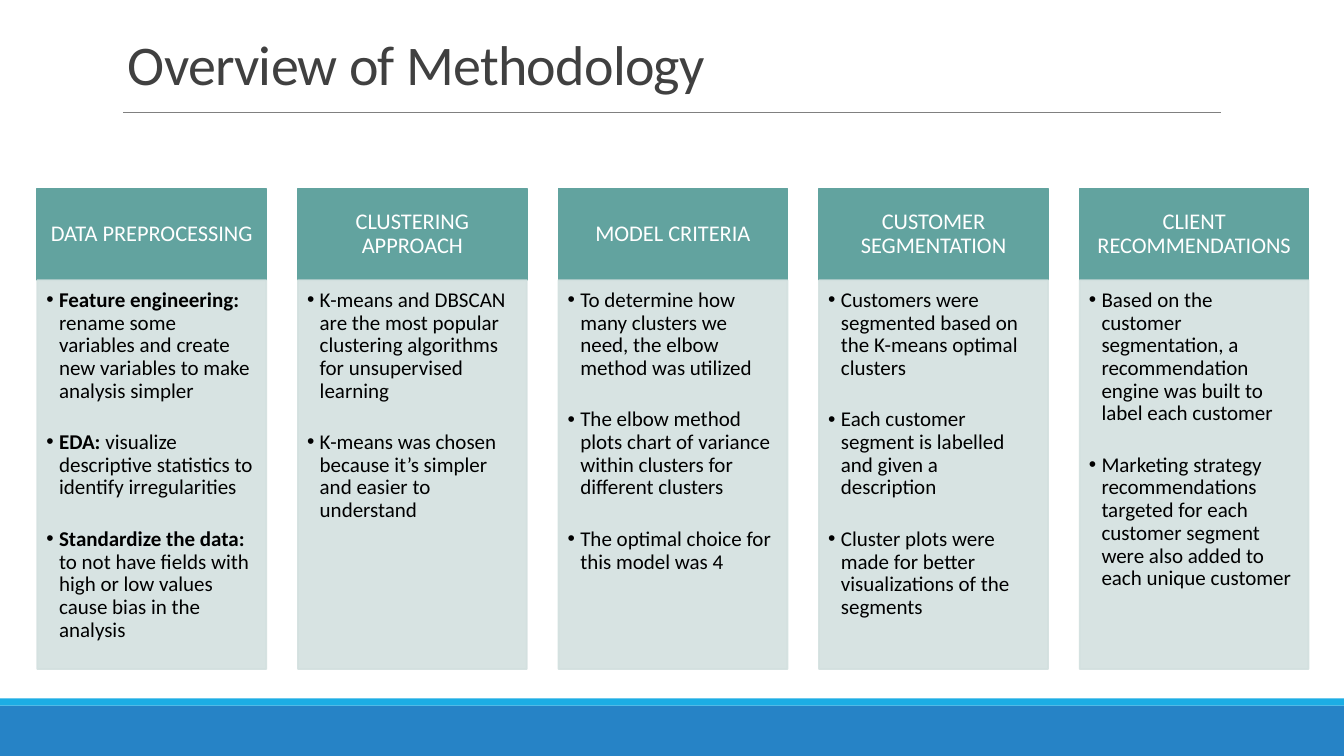
from lxml.etree import SubElement
from pptx import Presentation
from pptx.dml.color import RGBColor
from pptx.enum.shapes import MSO_CONNECTOR, MSO_SHAPE
from pptx.enum.text import MSO_ANCHOR, PP_ALIGN
from pptx.oxml.ns import qn
from pptx.util import Cm, Pt

BLUE = RGBColor(0x26, 0x83, 0xC6)
CYAN = RGBColor(0x1C, 0xAD, 0xE4)
TEAL = RGBColor(0x62, 0xA3, 0x9F)
PALE = RGBColor(0xD3, 0xE0, 0xDF)
GRAY = RGBColor(0x80, 0x80, 0x80)
DARK = RGBColor(0x40, 0x40, 0x40)
WHITE = RGBColor(0xFF, 0xFF, 0xFF)
BLACK = RGBColor(0x00, 0x00, 0x00)

TITLE_FRAME = {"word_wrap": True, "vertical_anchor": MSO_ANCHOR.BOTTOM}
HEAD_FRAME = {
    "word_wrap": True, "vertical_anchor": MSO_ANCHOR.MIDDLE,
    "margin_left": Cm(0.3), "margin_right": Cm(0.3),
    "margin_top": Cm(0.18), "margin_bottom": Cm(0.18),
}
BODY_FRAME = {
    "word_wrap": True, "vertical_anchor": MSO_ANCHOR.TOP,
    "margin_left": Cm(0.23), "margin_right": Cm(0.3),
    "margin_top": Cm(0.23), "margin_bottom": Cm(0.33),
}
TITLE_PARA = {"alignment": PP_ALIGN.LEFT, "line_spacing": 0.85}
HEAD_PARA = {"alignment": PP_ALIGN.CENTER, "line_spacing": 0.9}
BODY_PARA = {"alignment": PP_ALIGN.LEFT, "line_spacing": 0.9,
             "space_after": Pt(20.5)}
TITLE_FONT = {"name": "Calibri", "size": Pt(40)}
HEAD_FONT = {"name": "Calibri", "size": Pt(16)}
BODY_FONT = {"name": "Calibri", "size": Pt(15)}

COLUMNS = [
    ("DATA PREPROCESSING", [
        ("Feature engineering: ", "rename some variables and create new "
         "variables to make analysis simpler"),
        ("EDA: ", "visualize descriptive statistics to identify "
         "irregularities"),
        ("Standardize the data: ", "to not have fields with high or low "
         "values cause bias in the analysis"),
    ]),
    ("CLUSTERING APPROACH", [
        ("", "K-means and DBSCAN are the most popular clustering algorithms "
         "for unsupervised learning"),
        ("", "K-means was chosen because it’s simpler and easier to "
         "understand"),
    ]),
    ("MODEL CRITERIA", [
        ("", "To determine how many clusters we need, the elbow method was "
         "utilized"),
        ("", "The elbow method plots chart of variance within clusters for "
         "different clusters"),
        ("", "The optimal choice for this model was 4"),
    ]),
    ("CUSTOMER SEGMENTATION", [
        ("", "Customers were segmented based on the K-means optimal clusters"),
        ("", "Each customer segment is labelled and given a description"),
        ("", "Cluster plots were made for better visualizations of the "
         "segments"),
    ]),
    ("CLIENT RECOMMENDATIONS", [
        ("", "Based on the customer segmentation, a recommendation engine was "
         "built to label each customer"),
        ("", "Marketing strategy recommendations targeted for each customer "
         "segment were also added to each unique customer"),
    ]),
]


def apply(obj, values):
    for name, value in values.items():
        setattr(obj, name, value)


def add_run(p, text, font, color, bold=False):
    r = p.add_run()
    r.text = text
    apply(r.font, {**font, "bold": bold})
    r.font.color.rgb = color
    return r


def add_box(slide, left, top, width, height, color, outlined=False):
    sp = slide.shapes.add_shape(MSO_SHAPE.RECTANGLE, Cm(left), Cm(top),
                                Cm(width), Cm(height))
    sp.shadow.inherit = False
    sp.fill.solid()
    sp.fill.fore_color.rgb = color
    if outlined:
        sp.line.color.rgb = color
        sp.line.width = Pt(1.25)
    else:
        sp.line.fill.background()
    return sp


def set_opacity(sp, percent):
    for clr in sp._element.spPr.iter(qn("a:srgbClr")):
        SubElement(clr, qn("a:alpha"), val=str(percent * 1000))


def set_bullet(p, indent):
    pPr = p._p.get_or_add_pPr()
    pPr.set("marL", str(Cm(indent)))
    pPr.set("indent", str(-Cm(indent)))
    SubElement(pPr, qn("a:buFont"), typeface="Arial")
    SubElement(pPr, qn("a:buChar"), char="•")


def add_footer(slide, left, top, width, height):
    stripe = 0.18
    add_box(slide, left, top + stripe, width, height - stripe, BLUE)
    add_box(slide, left, top, width, stripe, CYAN)


def add_title(slide, left, top, width, height, text):
    rule_left, rule_top = left + 0.13, top + height + 0.24
    rule = slide.shapes.add_connector(
        MSO_CONNECTOR.STRAIGHT, Cm(rule_left), Cm(rule_top),
        Cm(rule_left + 27.68), Cm(rule_top))
    rule.line.color.rgb = GRAY
    rule.line.width = Pt(0.5)
    SubElement(rule._element.spPr, qn("a:effectLst"))

    box = slide.shapes.add_textbox(Cm(left), Cm(top), Cm(width), Cm(height))
    apply(box.text_frame, TITLE_FRAME)
    p = box.text_frame.paragraphs[0]
    apply(p, TITLE_PARA)
    r = add_run(p, text, TITLE_FONT, DARK)
    r._r.get_or_add_rPr().set("spc", "-50")


def add_column(slide, left, top, width, height, heading, points):
    head_height = 2.31
    head = add_box(slide, left, top, width, head_height, TEAL, True)
    apply(head.text_frame, HEAD_FRAME)
    p = head.text_frame.paragraphs[0]
    apply(p, HEAD_PARA)
    add_run(p, heading, HEAD_FONT, WHITE)

    body = add_box(slide, left, top + head_height, width,
                   height - head_height, PALE, True)
    set_opacity(body, 90)
    tf = body.text_frame
    apply(tf, BODY_FRAME)
    for i, (label, text) in enumerate(points):
        p = tf.add_paragraph() if i else tf.paragraphs[0]
        apply(p, BODY_PARA)
        set_bullet(p, 0.32)
        if label:
            add_run(p, label, BODY_FONT, BLACK, True)
        add_run(p, text, BODY_FONT, BLACK)


def add_columns(slide, left, top, width, height):
    column_width = 5.77
    pitch = (width - column_width) / (len(COLUMNS) - 1)
    for i, (heading, points) in enumerate(COLUMNS):
        add_column(slide, left + i * pitch, top, column_width, height,
                   heading, points)


def main():
    prs = Presentation()
    prs.slide_width, prs.slide_height = Cm(33.87), Cm(19.05)
    slide = prs.slides.add_slide(prs.slide_layouts[6])
    add_footer(slide, 0, 17.6, 33.87, 1.45)
    add_title(slide, 2.97, 0.58, 27.94, 2, "Overview of Methodology")
    add_columns(slide, 0.94, 4.75, 32.04, 12.11)
    prs.save("out.pptx")


if __name__ == "__main__":
    main()
